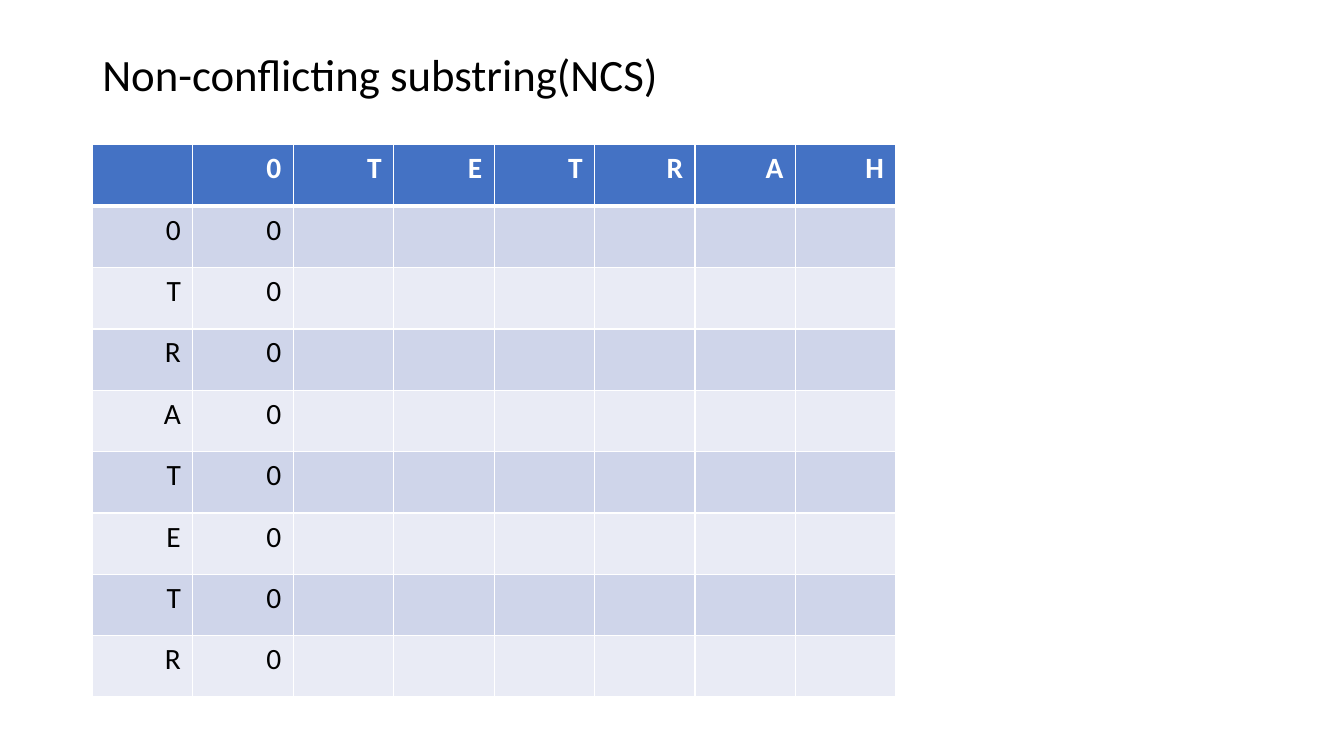
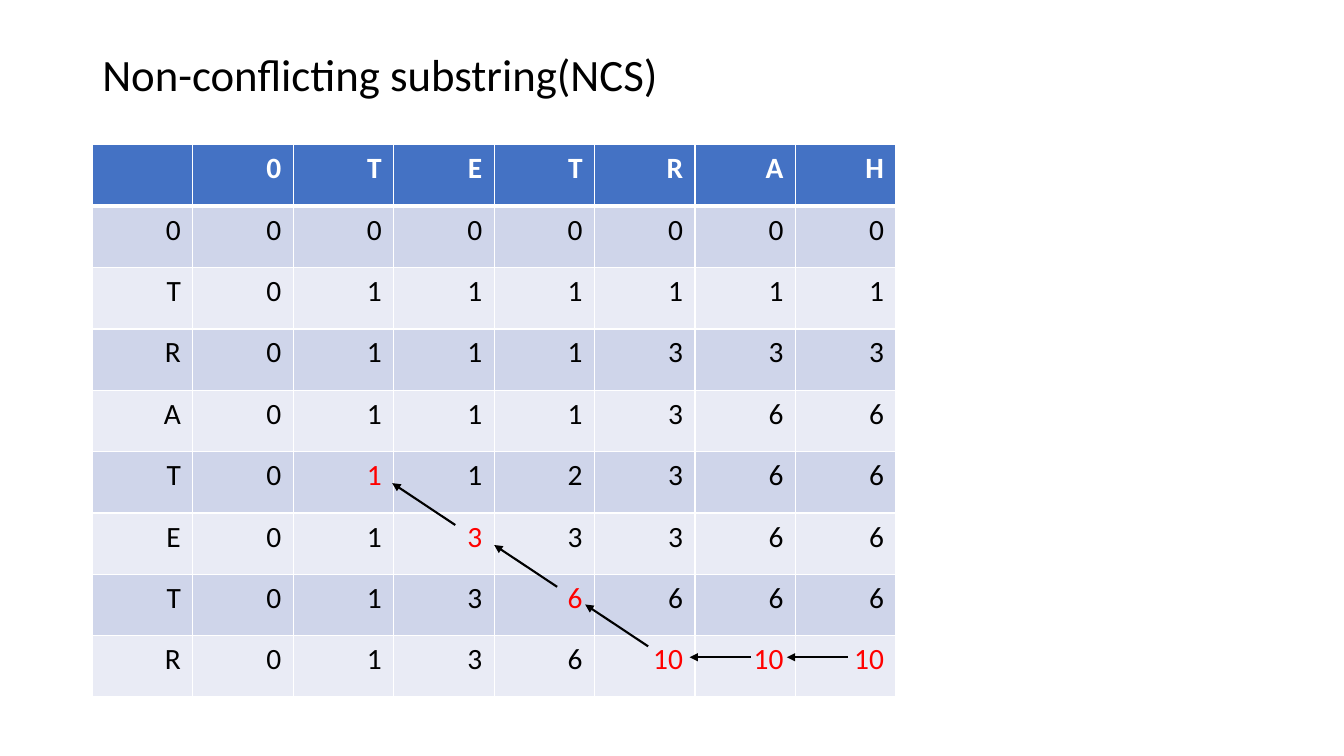
"""Build two slides that fill in a substring score table."""
import dataclasses

import pptx
import pptx.dml.color
import pptx.enum.shapes
import pptx.enum.text
import pptx.oxml
import pptx.oxml.ns
import pptx.util

Pt = pptx.util.Pt
RGB = pptx.dml.color.RGBColor.from_string


@dataclasses.dataclass(frozen=True)
class Theme:
    font: str = "Calibri"
    ink: str = "000000"
    white: str = "FFFFFF"
    red: str = "FF0000"
    head: str = "4472C4"
    bands: tuple = ("CFD5EA", "E9EBF5")
    title: float = 32
    body: float = 21
    thin: float = 1
    thick: float = 3
    line: float = 1.5


class Deck:
    def __init__(self, theme):
        self.theme = theme
        self.file = pptx.Presentation()
        self.file.slide_width = Pt(960)
        self.file.slide_height = Pt(540)
        self.slide = None

    def page(self, title):
        self.slide = self.file.slides.add_slide(self.file.slide_layouts[6])
        box = self.slide.shapes.add_textbox(Pt(66), Pt(28.8), Pt(828), Pt(52.5))
        frame = box.text_frame
        frame.word_wrap = True
        frame.vertical_anchor = pptx.enum.text.MSO_ANCHOR.MIDDLE
        para = frame.paragraphs[0]
        para.text = title
        para.line_spacing = 0.9
        self.font(para, self.theme.title, self.theme.ink)

    def font(self, para, size, color, bold=False):
        para.font.name = self.theme.font
        para.font.size = Pt(size)
        para.font.bold = bold
        para.font.color.rgb = RGB(color)

    def edge(self, cell, side, width):
        props = cell._tc.get_or_add_tcPr()
        props.append(pptx.oxml.parse_xml(
            f'<a:ln{side} {pptx.oxml.ns.nsdecls("a")} w="{Pt(width)}"><a:solidFill>'
            f'<a:srgbClr val="{self.theme.white}"/></a:solidFill></a:ln{side}>'))

    def cell(self, cell, text, row, mark):
        theme = self.theme
        top = row == 0
        cell.margin_left = cell.margin_right = Pt(8.6)
        cell.margin_top = cell.margin_bottom = Pt(4.3)
        for side in "LRTB":
            heavy = (row, side) in ((0, "B"), (1, "T"))
            self.edge(cell, side, theme.thick if heavy else theme.thin)
        cell.fill.solid()
        cell.fill.fore_color.rgb = RGB(theme.head if top else theme.bands[(row - 1) % 2])
        para = cell.text_frame.paragraphs[0]
        para.alignment = pptx.enum.text.PP_ALIGN.RIGHT
        if text:
            para.text = text
        color = theme.white if top else theme.red if mark else theme.ink
        self.font(para, theme.body, color, top)

    def table(self, rows, marks=()):
        count = len(rows[0])
        frame = self.slide.shapes.add_table(
            len(rows), count, Pt(66), Pt(103.5), Pt(71.75 * count), Pt(43.85 * len(rows)))
        grid = frame.table
        grid.first_row = grid.horz_banding = False
        for r, row in enumerate(rows):
            for c, text in enumerate(row):
                self.cell(grid.cell(r, c), text, r, (r, c) in marks)

    def arrow(self, x, y, dx, dy):
        line = self.slide.shapes.add_connector(
            pptx.enum.shapes.MSO_CONNECTOR.STRAIGHT, Pt(x), Pt(y), Pt(x + dx), Pt(y + dy))
        line.line.color.rgb = RGB(self.theme.ink)
        line.line.width = Pt(self.theme.line)
        space = pptx.oxml.ns.nsdecls("a")
        line.line._get_or_add_ln().append(
            pptx.oxml.parse_xml(f'<a:tailEnd {space} type="triangle"/>'))
        line._element.spPr.append(pptx.oxml.parse_xml(f'<a:effectLst {space}/>'))


TITLE = "Non-conflicting substring(NCS)"
HEAD = ["", *"0TETRAH"]
SCORES = [
    "0 0 0 0 0 0 0 0",
    "T 0 1 1 1 1 1 1",
    "R 0 1 1 1 3 3 3",
    "A 0 1 1 1 3 6 6",
    "T 0 1 1 2 3 6 6",
    "E 0 1 3 3 3 6 6",
    "T 0 1 3 6 6 6 6",
    "R 0 1 3 6 10 10 10",
]
TRACE = {(5, 2), (6, 3), (7, 4), (8, 5), (8, 6), (8, 7)}
LEFT = (-43.6, 0)
SLANT = (-45, -29.9)
ARROWS = [
    (605.7, 469.5, LEFT),
    (536.2, 469.5, LEFT),
    (463, 461.7, SLANT),
    (398, 419.2, SLANT),
    (325.2, 375, SLANT),
]


def main():
    deck = Deck(Theme())
    full = [HEAD] + [line.split() for line in SCORES]
    start = [HEAD] + [row[:2] + [""] * (len(HEAD) - 2) for row in full[1:]]
    deck.page(TITLE)
    deck.table(start)
    deck.page(TITLE)
    deck.table(full, TRACE)
    for x, y, step in ARROWS:
        deck.arrow(x, y, *step)
    deck.file.save("out.pptx")


if __name__ == "__main__":
    main()
